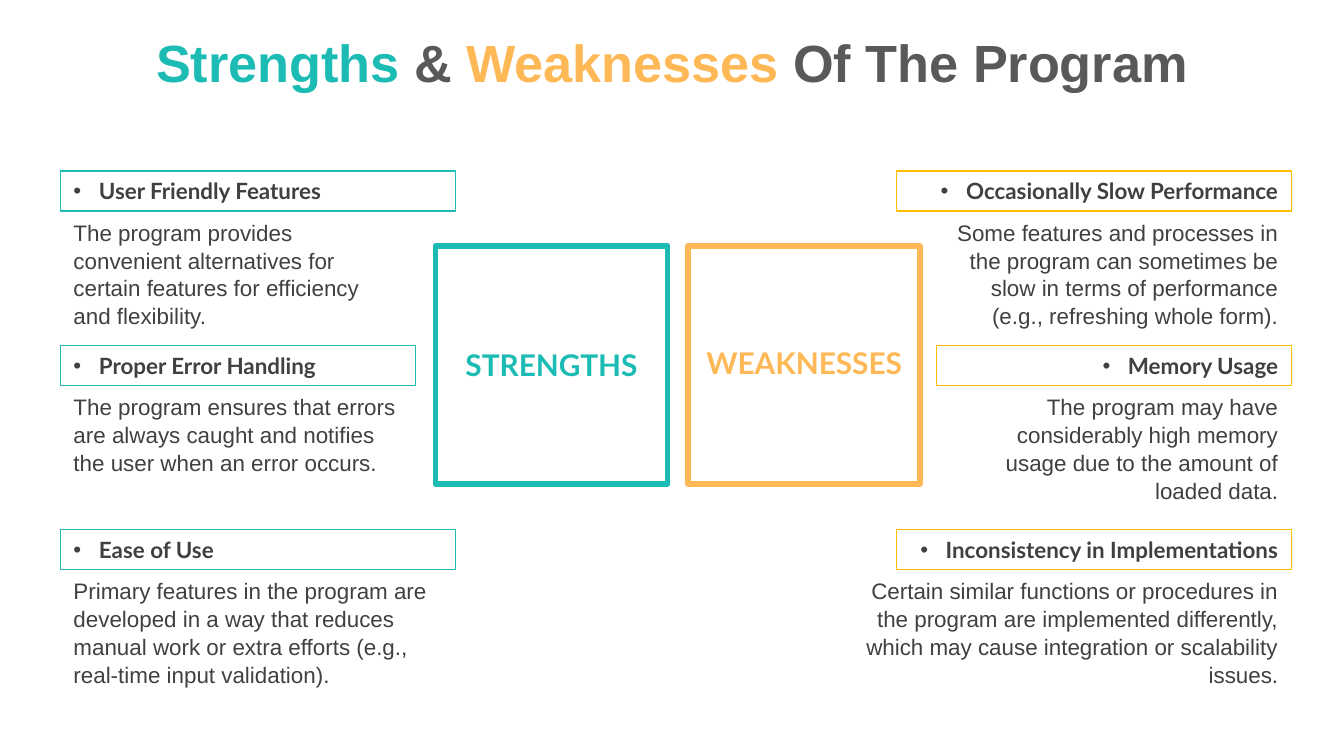
from lxml import etree
from pptx import Presentation
from pptx import util as u
from pptx.dml.color import RGBColor
from pptx.enum import shapes, text
from pptx.oxml.ns import qn

TEAL, ORANGE, GOLD = "1CBBB4", "FEB856", "FFC000"
DARK, GREY, WHITE = "404040", "595959", "FFFFFF"

LEFT_EDGE, RIGHT_EDGE = 1.14, 24.41
HEADING_HEIGHT, BODY_HEIGHT = 0.76, 2.31
WIDE, NARROW = 7.47, 6.71
INDENT = 0.48

HEADING_FONT = {"name": "Lato", "size": u.Pt(12), "bold": True}
BODY_FONT = {"name": "Arial", "size": u.Pt(12), "bold": False}
LABEL_FONT = {"name": "Lato", "size": u.Pt(16), "bold": True}
TITLE_FONT = {"name": "Arial", "size": u.Pt(28), "bold": True}

# Row top, then (title, heading width, body width, description) for each side
ROWS = [
    (3.23,
     ("User Friendly Features", WIDE, NARROW,
      "The program provides convenient alternatives for certain features "
      "for efficiency and flexibility."),
     ("Occasionally Slow Performance", WIDE, NARROW,
      "Some features and processes in the program can sometimes be slow "
      "in terms of performance (e.g., refreshing whole form).")),
    (6.53,
     ("Proper Error Handling", NARROW, NARROW,
      "The program ensures that errors are always caught and notifies "
      "the user when an error occurs."),
     ("Memory Usage", NARROW, NARROW,
      "The program may have considerably high memory usage due to the "
      "amount of loaded data.")),
    (10.01,
     ("Ease of Use", WIDE, WIDE,
      "Primary features in the program are developed in a way that reduces "
      "manual work or extra efforts (e.g., real-time input validation)."),
     ("Inconsistency in Implementations", WIDE, 8.46,
      "Certain similar functions or procedures in the program are implemented "
      "differently, which may cause integration or scalability issues.")),
]


def color(value):
    return RGBColor.from_string(value)


def box(*lengths):
    return [u.Cm(length) for length in lengths]


def write(shape, runs, font, align, anchor=text.MSO_ANCHOR.TOP):
    """Fill the first paragraph with (words, colour) runs."""
    frame = shape.text_frame
    frame.word_wrap = True
    frame.vertical_anchor = anchor
    paragraph = frame.paragraphs[0]
    paragraph.alignment = align
    for words, run_color in runs:
        run = paragraph.add_run()
        run.text = words
        for key, value in font.items():
            setattr(run.font, key, value)
        run.font.color.rgb = color(run_color)
    return paragraph


def add_text(parent, place, runs, font, align, **options):
    return write(parent.add_textbox(*box(*place)), runs, font, align, **options)


def add_frame(parent, place, line, width, fill=None):
    shape = parent.add_shape(shapes.MSO_SHAPE.RECTANGLE, *box(*place))
    shape.shadow.inherit = False
    shape.line.color.rgb = color(line)
    shape.line.width = u.Pt(width)
    if fill:
        shape.fill.solid()
        shape.fill.fore_color.rgb = color(fill)
    else:
        shape.fill.background()
    return shape


def add_bullet(paragraph):
    properties = paragraph._p.get_or_add_pPr()
    properties.set("marL", str(u.Cm(INDENT)))
    properties.set("indent", str(-u.Cm(INDENT)))
    etree.SubElement(properties, qn("a:buFont")).set("typeface", "Arial")
    etree.SubElement(properties, qn("a:buChar")).set("char", "•")


def add_point(slide, top, point, on_right):
    """Group a framed heading with the description below it."""
    title, heading_width, body_width, description = point
    align = text.PP_ALIGN.RIGHT if on_right else text.PP_ALIGN.LEFT
    line = GOLD if on_right else TEAL

    def left(width):
        return RIGHT_EDGE - width if on_right else LEFT_EDGE

    group = slide.shapes.add_group_shape().shapes
    body = add_text(
        group, (left(body_width), top + HEADING_HEIGHT, body_width, BODY_HEIGHT),
        [(description, DARK)], BODY_FONT, align)
    body.line_spacing = 1.04
    heading = add_frame(
        group, (left(heading_width), top, heading_width, HEADING_HEIGHT), line, 0.75)
    add_bullet(write(heading, [(title, DARK)], HEADING_FONT, align))


def main():
    presentation = Presentation()
    presentation.slide_width, presentation.slide_height = box(25.4, 14.29)
    slide = presentation.slides.add_slide(presentation.slide_layouts[6])
    center = text.PP_ALIGN.CENTER

    # Title
    add_text(slide.shapes, (0, 0.08, 25.4, 2.16),
             [("Strengths ", TEAL), ("&", GREY), (" Weaknesses ", ORANGE),
              ("Of The Program", GREY)],
             TITLE_FONT, center, anchor=text.MSO_ANCHOR.MIDDLE)

    # Central squares and their labels
    for left, line in ((8.23, TEAL), (13, ORANGE)):
        add_frame(slide.shapes, (left, 4.65, 4.39, 4.5), line, 3, WHITE)
    for label, place, label_color in (
            ("STRENGTHS", (8.43, 6.43, 3.99, 0.94), TEAL),
            ("WEAKNESSES", (13.08, 6.4, 4.24, 0.94), ORANGE)):
        add_text(slide.shapes, place, [(label, label_color)], LABEL_FONT, center)

    # Strengths on the left, weaknesses on the right
    for top, strength, weakness in ROWS:
        add_point(slide, top, strength, on_right=False)
        add_point(slide, top, weakness, on_right=True)

    presentation.save("out.pptx")


if __name__ == "__main__":
    main()
